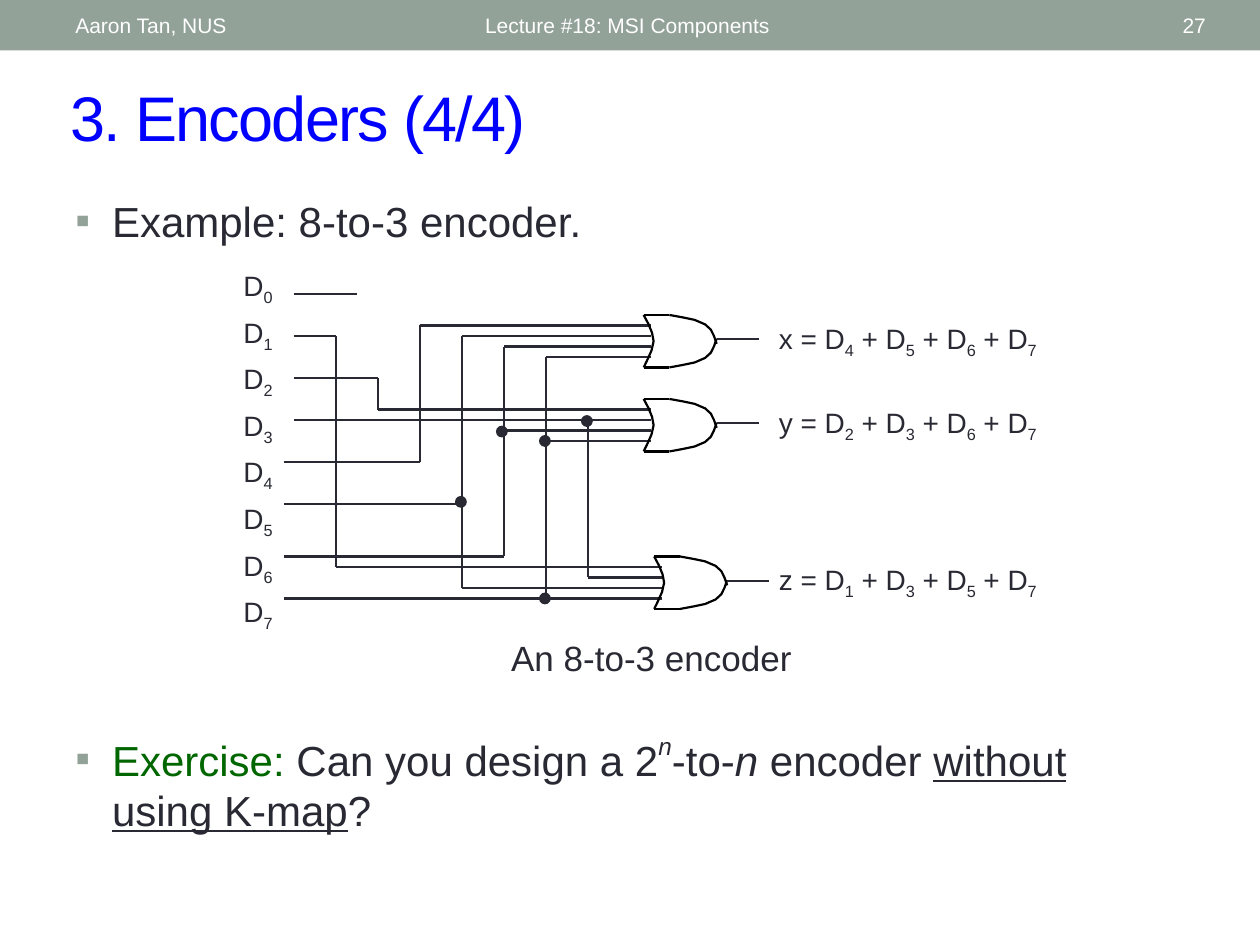
from itertools import pairwise

from lxml import etree
from pptx import Presentation
from pptx.dml.color import RGBColor
from pptx.enum.shapes import MSO_CONNECTOR, MSO_SHAPE
from pptx.enum.text import MSO_ANCHOR, MSO_AUTO_SIZE, PP_ALIGN
from pptx.oxml.ns import qn
from pptx.util import Cm, Pt

STRAIGHT = MSO_CONNECTOR.STRAIGHT
RECTANGLE, OVAL = MSO_SHAPE.RECTANGLE, MSO_SHAPE.OVAL
LEFT, RIGHT = PP_ALIGN.LEFT, PP_ALIGN.RIGHT
TOP, MIDDLE = MSO_ANCHOR.TOP, MSO_ANCHOR.MIDDLE
NO_FIT, GROW = MSO_AUTO_SIZE.NONE, MSO_AUTO_SIZE.SHAPE_TO_FIT_TEXT

FONT = "Arial"
INK, BLACK, WHITE = "292934", "000000", "FFFFFF"
SAGE, BLUE, GREEN = "93A299", "0000FF", "006600"
STEP = Cm(2.54) / 12  # the circuit is drawn on a grid of twelve steps per inch

# Wires as corner points, in grid steps from the top left of the circuit
WIRES = [
    [(6, 3), (12, 3)],                                # D0
    [(6, 7), (10, 7), (10, 29), (41, 29)],            # D1 to z
    [(6, 11), (14, 11), (14, 14), (40, 14)],          # D2 to y
    [(6, 15), (40, 15)],                              # D3 to y
    [(34, 15), (34, 30), (41, 30)],                   # D3 to z
    [(5, 19), (18, 19), (18, 6), (40, 6)],            # D4 to x
    [(5, 23), (22, 23)],                              # D5
    [(40, 7), (22, 7), (22, 31), (41, 31)],           # D5 to x and z
    [(5, 28), (26, 28), (26, 8), (40, 8)],            # D6 to x
    [(26, 16), (40, 16)],                             # D6 to y
    [(5, 32), (41, 32)],                              # D7 to z
    [(30, 32), (30, 9), (40, 9)],                     # D7 to x
    [(30, 17), (40, 17)],                             # D7 to y
]
JUNCTIONS = [(21.9, 22.8), (25.8, 16.1), (29.9, 17), (29.9, 32), (33.9, 15.1)]
# Output name, input numbers, gate position
GATES = [("x", (4, 5, 6, 7), (39.3, 5)),
         ("y", (2, 3, 6, 7), (39.3, 13)),
         ("z", (1, 3, 5, 7), (40.3, 28))]
GATE_HEIGHT = 5
BACK_CURVE = [(0, 0), (0.45, 0.85), (0.8, 1.7), (0.95, 2.5), (0.75, 3.4), (0.3, 4.4), (0, 5)]
FRONT_CURVE = [(2.45, 0), (3.7, 0.23), (4.85, 0.47), (5.85, 0.9), (6.4, 1.4), (6.7, 2.02),
               (6.95, 2.75)]


def color(value):
    return RGBColor.from_string(value)


def add_run(paragraph, text, size, hue=INK, baseline=0, italic=False, underline=False):
    run = paragraph.add_run()
    run.text = text
    font = run.font
    font.name, font.size, font.color.rgb = FONT, Pt(size), color(hue)
    if italic:
        font.italic = True
    if underline:
        font.underline = True
    if baseline:
        run._r.get_or_add_rPr().set("baseline", str(baseline * 1000))
    return run


def add_terms(paragraph, prefix, numbers):
    """Writes D with a subscript for each number, joined by plus signs."""
    for number in numbers:
        add_run(paragraph, prefix + "D", 16)
        add_run(paragraph, str(number), 16, baseline=-25)
        prefix = " + "


def set_space_before(paragraph, percent):
    paragraph.space_before = Pt(0)
    spacing = paragraph._p.pPr.find(qn("a:spcBef"))
    spacing.remove(spacing[0])
    etree.SubElement(spacing, qn("a:spcPct")).set("val", str(percent * 1000))


def add_text_box(slide, left, top, width, height, anchor=TOP, fit=NO_FIT):
    shape = slide.shapes.add_textbox(*map(round, (left, top, width, height)))
    frame = shape.text_frame
    frame.word_wrap, frame.vertical_anchor, frame.auto_size = True, anchor, fit
    return frame


def add_line(slide, start, end, hue=INK):
    line = slide.shapes.add_connector(STRAIGHT, *map(round, (*start, *end)))
    line.line.color.rgb, line.line.width = color(hue), Pt(1.25)
    etree.SubElement(line._element.spPr, qn("a:effectLst"))


def add_curve(slide, points):
    """Draws an open outline through the points."""
    start, *others = [tuple(map(round, point)) for point in points]
    builder = slide.shapes.build_freeform(*start)
    builder.add_line_segments(others, close=False)
    shape = builder.convert_to_shape()
    shape.shadow.inherit = False
    shape.fill.background()
    shape.line.color.rgb, shape.line.width = color(BLACK), Pt(1.25)


def add_header(slide, left, top, width, height):
    bar = slide.shapes.add_shape(RECTANGLE, left, top, width, height)
    bar.shadow.inherit = False
    bar.fill.solid()
    bar.fill.fore_color.rgb = color(SAGE)
    bar.line.fill.background()
    for text, offset, text_width, alignment in [
            ("Lecture #18: MSI Components", 9.53, 11.43, LEFT),
            ("27", 22.15, 2.41, RIGHT),
            ("Aaron Tan, NUS", 1.27, 8.05, LEFT)]:
        frame = add_text_box(slide, left + Cm(offset), top + Cm(0.05), Cm(text_width),
                             height - Cm(0.1), MIDDLE)
        frame.paragraphs[0].alignment = alignment
        add_run(frame.paragraphs[0], text, 12, WHITE)


def add_title(slide, left, top, width, height):
    title = slide.shapes.title
    title.left, title.top, title.width, title.height = left, top, width, height
    frame = title.text_frame
    frame.vertical_anchor, frame.auto_size = MIDDLE, NO_FIT
    frame.paragraphs[0].alignment = LEFT
    run = add_run(frame.paragraphs[0], "3. Encoders (4/4)", 36, BLUE)
    run._r.get_or_add_rPr().set("spc", "-100")


def add_bullet(slide, left, top, width, height, runs):
    paragraph = add_text_box(slide, left, top, width, height).paragraphs[0]
    set_space_before(paragraph, 20)
    properties = paragraph._p.pPr
    properties.set("marL", str(Cm(0.74)))
    properties.set("indent", str(-Cm(0.74)))
    bullet_color = etree.SubElement(properties, qn("a:buClr"))
    etree.SubElement(bullet_color, qn("a:srgbClr")).set("val", SAGE)
    etree.SubElement(properties, qn("a:buFont")).set("typeface", FONT)
    etree.SubElement(properties, qn("a:buChar")).set("char", "▪")
    for text, style in runs:
        add_run(paragraph, text, 24, **style)


def add_gate(slide, left, top):
    """Draws an OR gate with its output wire."""
    def place(x, y):
        return left + x * STEP, top + y * STEP

    add_curve(slide, [place(x, y) for x, y in BACK_CURVE])
    add_curve(slide, [place(x, y) for x, y in FRONT_CURVE])
    add_curve(slide, [place(x, GATE_HEIGHT - y) for x, y in FRONT_CURVE])
    for edge in (0, GATE_HEIGHT):
        add_line(slide, place(0, edge), place(2.45, edge), BLACK)
    add_line(slide, place(6.95, 2.3), place(10.95, 2.3))


def add_circuit(slide, left, top):
    def place(x, y):
        return left + x * STEP, top + y * STEP

    # Input labels
    frame = add_text_box(slide, left, top, Cm(1.22), Cm(7.11), fit=GROW)
    for number in range(8):
        paragraph = frame.add_paragraph() if number else frame.paragraphs[0]
        set_space_before(paragraph, 30)
        add_terms(paragraph, "", [number])

    # Wires and junctions
    for wire in WIRES:
        for start, end in pairwise(wire):
            add_line(slide, place(*start), place(*end))
    for x, y in JUNCTIONS:
        dot = slide.shapes.add_shape(OVAL, *map(round, (*place(x - 0.5, y - 0.5), STEP, STEP)))
        dot.shadow.inherit = False
        dot.fill.solid()
        dot.fill.fore_color.rgb = dot.line.color.rgb = color(INK)
        dot.line.width = Pt(0.75)

    # Gates and equations
    for name, inputs, (gate_x, gate_y) in GATES:
        add_gate(slide, *place(gate_x, gate_y))
        frame = add_text_box(slide, *place(51, gate_y), Cm(6.56), Cm(0.94), fit=GROW)
        set_space_before(frame.paragraphs[0], 50)
        add_terms(frame.paragraphs[0], f"{name} = ", inputs)

    # Caption
    frame = add_text_box(slide, *place(25.5, 35), Cm(6.56), Cm(1.09), fit=GROW)
    set_space_before(frame.paragraphs[0], 50)
    add_run(frame.paragraphs[0], "An 8-to-3 encoder", 20)


def main():
    presentation = Presentation()
    presentation.slide_width, presentation.slide_height = Cm(25.4), Cm(19.05)
    slide = presentation.slides.add_slide(presentation.slide_layouts[5])
    add_header(slide, 0, 0, presentation.slide_width, Cm(1.02))
    add_title(slide, Cm(1.17), Cm(1.45), Cm(23.39), Cm(1.78))
    add_bullet(slide, Cm(1.27), Cm(3.81), Cm(22.23), Cm(1.47),
               [("Example: 8-to-3 encoder.", {})])
    add_circuit(slide, 22 * STEP, 25 * STEP)
    add_bullet(slide, Cm(1.27), Cm(14.61), Cm(22.23), Cm(2.11), [
        ("Exercise: ", {"hue": GREEN}), ("Can you design a 2", {}),
        ("n", {"italic": True, "baseline": 50}), ("-to-", {}), ("n", {"italic": True}),
        (" encoder ", {}), ("without using K-map", {"underline": True}), ("?", {})])
    presentation.save("out.pptx")


if __name__ == "__main__":
    main()
